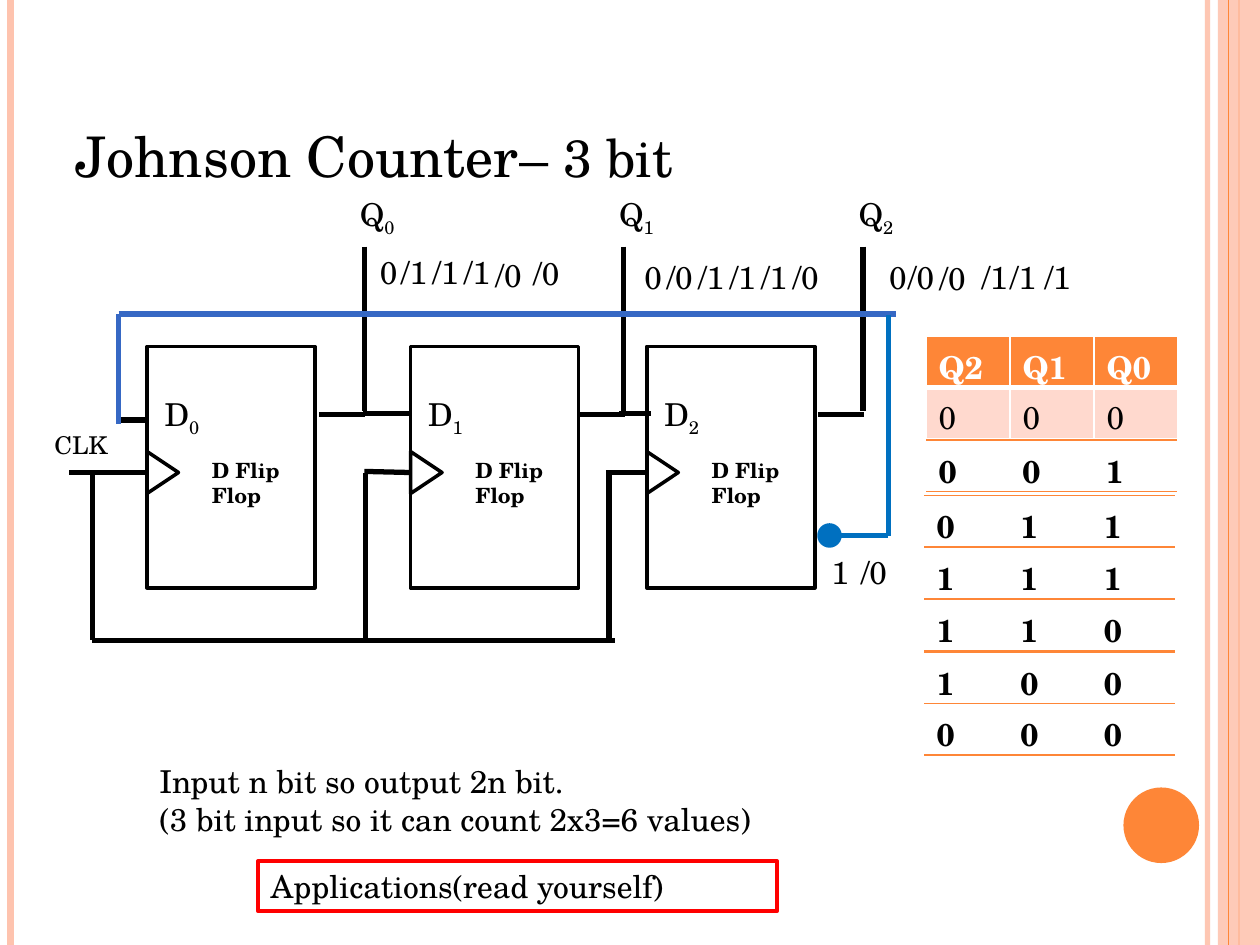
from typing import NamedTuple

from lxml.etree import SubElement
from pptx import Presentation
from pptx.dml.color import RGBColor
from pptx.enum.shapes import MSO_CONNECTOR, MSO_SHAPE
from pptx.enum.text import MSO_ANCHOR, MSO_AUTO_SIZE, PP_ALIGN
from pptx.oxml.ns import qn
from pptx.util import Inches, Pt

COLUMNS, ROWS = 120, 90  # the slide grid; each unit is 1/12 inch
FONT = "TeX Gyre Schola"
BLACK, WHITE, RED = "000000", "FFFFFF", "FF0000"
ORANGE, PEACH, PALE = "FE8637", "FEC3AE", "FFD9CE"
FEEDBACK, INVERTED = "3668C4", "0070C0"
PLAIN_TABLE = "{2D5ABB26-0587-4C30-8999-92F81FD0307C}"


class Wire(NamedTuple):
    x1: float
    y1: float
    x2: float
    y2: float
    color: str = BLACK
    width: float = 3
    alpha: int = 100


class Area(NamedTuple):
    left: float
    top: float
    width: float
    height: float


class Bit(NamedTuple):
    text: str
    left: float
    top: float


class Edge(NamedTuple):
    color: str
    width: float


STRIPES = [
    Wire(115, 0, 115, ROWS, PEACH, 3, 93),
    Wire(1, 0, 1, ROWS, PEACH, 4.5),
    Wire(118, 0, 118, ROWS, ORANGE, 1.5),
]
FLIP_FLOPS = [14, 39.1, 61.6]
OUTPUTS = [34.7, 59.4, 82.2]
CLOCK_WIRES = [
    Wire(6.6, 45, 14, 45),
    Wire(34.7, 44.9, 39, 45),
    Wire(57.7, 45, 61.6, 45),
    Wire(8.8, 45.1, 8.8, 61),
    Wire(34.8, 45, 34.8, 61),
    Wire(58, 45.1, 58, 61),
    Wire(8.8, 61, 34.8, 61),
    Wire(34, 61, 58.6, 61),
]
DATA_WIRES = [
    Wire(11.3, 40, 13.9, 40),
    Wire(30.4, 39.5, 34.8, 39.5),
    Wire(34.6, 39.4, 37.6, 39.4),
    Wire(36.1, 39.4, 39.1, 39.4),
    Wire(55, 39.5, 59.5, 39.5),
    Wire(59, 39.4, 62, 39.4),
    Wire(77.9, 39.5, 82.3, 39.5),
]
FEEDBACK_WIRES = [
    Wire(78.5, 51, 84.6, 51, INVERTED),
    Wire(11.3, 29.9, 85.3, 29.9, FEEDBACK),
    Wire(11.3, 29.9, 11.3, 40.4, FEEDBACK),
    Wire(84.6, 30, 84.6, 51, INVERTED),
]
BITS = [
    Bit("0", 35, 23.5), *[Bit("/1", 37 + 3 * step, 23.5) for step in range(3)],
    Bit("/0", 46, 23.8), Bit("/0", 49.6, 23.6),
    Bit("0", 60.2, 24),
    *[Bit(text, 62.3 + 3 * step, 24) for step, text in enumerate(["/0", "/1", "/1", "/1", "/0"])],
    Bit("0", 83.5, 24), Bit("/0", 85.3, 24), Bit("/0", 88.3, 24.1),
    Bit("/1", 92.3, 24), Bit("/1", 95, 24), Bit("/1", 98.3, 24),
    Bit("1", 78, 52.1), Bit("/0", 80.8, 52.1),
]
STATES = [("001", 88.2, 41.9), ("011", 88, 47.2), ("111", 88, 52.1),
          ("110", 88, 57.1), ("100", 88, 62.1), ("000", 88, 67)]


def units(count: float) -> int:
    return Inches(count / 12)


def rgb(value: str) -> RGBColor:
    return RGBColor.from_string(value)


def set_alpha(owner, percent: int) -> None:
    for color in owner.iter(qn("a:srgbClr")):
        SubElement(color, qn("a:alpha")).set("val", str(percent * 1000))


def style_span(span, size: float, color: str = BLACK, bold: bool = False) -> None:
    span.font.name, span.font.size, span.font.bold = FONT, Pt(size), bold
    span.font.color.rgb = rgb(color)


def draw_wire(page, wire: Wire) -> None:
    line = page.shapes.add_connector(MSO_CONNECTOR.STRAIGHT, *map(units, wire[:4]))
    line.line.color.rgb = rgb(wire.color)
    line.line.width = Pt(wire.width)
    properties = line._element.spPr
    if wire.alpha < 100:
        set_alpha(properties, wire.alpha)
    SubElement(properties, qn("a:effectLst"))


def draw_shape(page, kind, area: Area, fill: str = "", line: str = "", width: float = 2):
    shape = page.shapes.add_shape(kind, *map(units, area))
    shape.shadow.inherit = False
    if fill:
        shape.fill.solid()
        shape.fill.fore_color.rgb = rgb(fill)
    else:
        shape.fill.background()
    if line:
        shape.line.color.rgb = rgb(line)
        shape.line.width = Pt(width)
    else:
        shape.line.fill.background()
    return shape


def fill_text(box, text: str, size: float = 18, bold: bool = False, subscript: str = "") -> None:
    frame = box.text_frame
    frame.text = text
    frame.word_wrap = True
    frame.auto_size = MSO_AUTO_SIZE.SHAPE_TO_FIT_TEXT
    frame.vertical_anchor = MSO_ANCHOR.TOP
    if subscript:
        span = frame.paragraphs[0].add_run()
        span.text = subscript
        span.font._element.set("baseline", "-25000")
    for para in frame.paragraphs:
        para.alignment = PP_ALIGN.LEFT
        for span in para.runs:
            style_span(span, size, bold=bold)


def draw_text(page, area: Area, text: str, size: float = 18, bold: bool = False,
              subscript: str = "") -> None:
    fill_text(page.shapes.add_textbox(*map(units, area)), text, size, bold, subscript)


def draw_flip_flop(page, index: int, left: float) -> None:
    draw_shape(page, MSO_SHAPE.RECTANGLE, Area(left, 33, 16, 23), line=BLACK)
    clock_input = draw_shape(page, MSO_SHAPE.ISOSCELES_TRIANGLE,
                             Area(left - 0.5, 43.5, 4, 3), line=BLACK)
    clock_input.rotation = 90
    draw_text(page, Area(left + 0.5, 37, 7.6, 4.8), "D", subscript=str(index))
    draw_text(page, Area(left + 5, 43, 11, 6), "D Flip Flop", 12, True)


def draw_output(page, index: int, x: float) -> None:
    draw_wire(page, Wire(x, 23.5, x, 39.1))
    draw_text(page, Area(x - 1.6, 18, 7.4, 4.8), "Q", subscript=str(index))


def set_edges(cell, edges: dict[str, Edge]) -> None:
    """Borders must precede the fill, so call this before filling the cell."""
    properties = cell._tc.get_or_add_tcPr()
    for side in ("lnL", "lnR", "lnT", "lnB"):
        if side in edges:
            line = SubElement(properties, qn(f"a:{side}"), w=str(Pt(edges[side].width)))
            solid = SubElement(line, qn("a:solidFill"))
            SubElement(solid, qn("a:srgbClr"), val=edges[side].color)


def draw_table(page, area: Area, rows: list, fills: list, colors: list, bolds: list,
               edges: list) -> None:
    """Draw rows of texts; the other lists hold one setting for each row."""
    table = page.shapes.add_table(len(rows), len(rows[0]), *map(units, area)).table
    table.first_row = table.horz_banding = False
    table._tbl.tblPr.find(qn("a:tableStyleId")).text = PLAIN_TABLE
    for row, texts in enumerate(rows):
        for column, text in enumerate(texts):
            cell = table.cell(row, column)
            cell.text = text
            style_span(cell.text_frame.paragraphs[0].runs[0], 18, colors[row], bolds[row])
            set_edges(cell, edges[row])
            if fills[row]:
                cell.fill.solid()
                cell.fill.fore_color.rgb = rgb(fills[row])
            else:
                cell.fill.background()


def draw_title(page) -> None:
    title = page.shapes.title
    title.left, title.top, title.width, title.height = map(units, Area(6, 3.6, 98, 15))
    frame = title.text_frame
    frame.text = "Johnson Counter"
    frame.vertical_anchor = MSO_ANCHOR.BOTTOM
    para = frame.paragraphs[0]
    para.alignment = PP_ALIGN.LEFT
    para.add_run().text = "– 3 bit"
    for span, size in zip(para.runs, (32, 30)):
        style_span(span, size)


def draw_state_tables(page) -> None:
    white = {side: Edge(WHITE, 1) for side in ("lnL", "lnR", "lnT", "lnB")}
    thick = Edge(WHITE, 3)
    draw_table(page, Area(88.2, 32, 24, 9.8), [("Q2", "Q1", "Q0"), "000"],
               [ORANGE, PALE], [WHITE, BLACK], [True, False],
               [{**white, "lnB": thick}, {**white, "lnT": thick}])
    rules = {side: Edge(ORANGE, 1) for side in ("lnT", "lnB")}
    for bits, left, top in STATES:
        draw_table(page, Area(left, top, 23.9, 4.9), [bits], [""], [BLACK], [True], [rules])


def main() -> None:
    deck = Presentation()
    deck.slide_width, deck.slide_height = units(COLUMNS), units(ROWS)
    page = deck.slides.add_slide(deck.slide_layouts[5])
    for stripe in STRIPES:
        draw_wire(page, stripe)
    band = draw_shape(page, MSO_SHAPE.RECTANGLE, Area(116, 0, 4, ROWS), PEACH)
    set_alpha(band._element.spPr, 87)
    draw_wire(page, Wire(117, 0, 117, ROWS, ORANGE, 0.75))
    draw_shape(page, MSO_SHAPE.OVAL, Area(107, 75, 7.2, 7.2), ORANGE)
    draw_title(page)
    for index, (left, output) in enumerate(zip(FLIP_FLOPS, OUTPUTS)):
        draw_flip_flop(page, index, left)
        draw_output(page, index, output)
    for wire in CLOCK_WIRES + DATA_WIRES + FEEDBACK_WIRES:
        draw_wire(page, wire)
    draw_shape(page, MSO_SHAPE.OVAL, Area(78, 50, 2, 2), INVERTED, INVERTED)
    draw_text(page, Area(4, 40.4, 9.2, 4.1), "CLK", 14)
    for bit in BITS:
        draw_text(page, Area(bit.left, bit.top, 5.8 if "/" in bit.text else 4.4, 4.8), bit.text)
    draw_state_tables(page)
    draw_text(page, Area(14, 72, 62.9, 8.5),
              "Input n bit so output 2n bit.\n(3 bit input so it can count 2x3=6 values)")
    applications = draw_shape(page, MSO_SHAPE.RECTANGLE, Area(24.6, 82, 49.4, 4.8),
                              line=RED, width=2.25)
    fill_text(applications, "Applications(read yourself)")
    deck.save("out.pptx")


if __name__ == "__main__":
    main()
